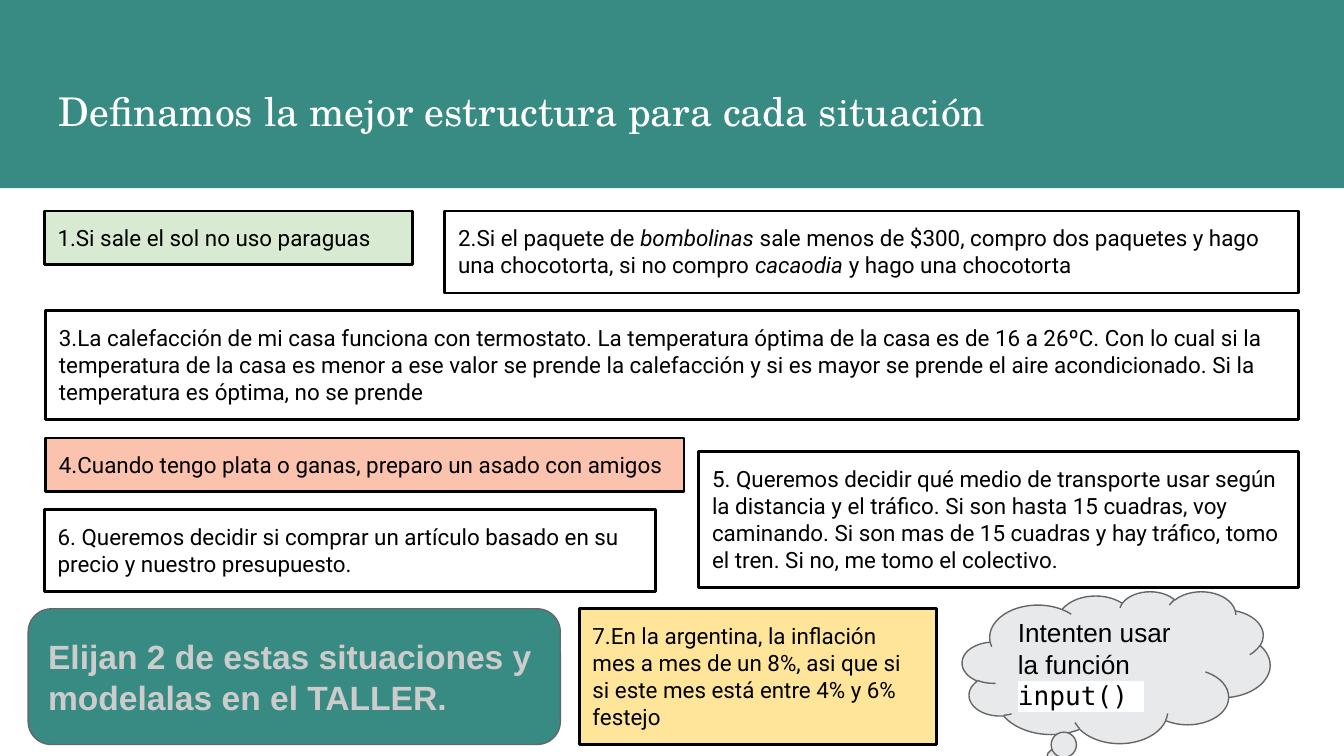
from lxml.etree import SubElement
from pptx import Presentation
from pptx.dml.color import RGBColor
from pptx.enum.shapes import MSO_SHAPE
from pptx.enum.text import MSO_ANCHOR, PP_ALIGN
from pptx.oxml.ns import qn
from pptx.util import Inches, Pt

TEAL = RGBColor(0x38, 0x8B, 0x82)
GREEN = RGBColor(0xD9, 0xEA, 0xD3)
SALMON = RGBColor(0xFB, 0xC2, 0xAE)
YELLOW = RGBColor(0xFF, 0xE5, 0x99)
CLOUD_GRAY = RGBColor(0xE7, 0xE9, 0xEB)
LIGHT_GRAY = RGBColor(0xCC, 0xCC, 0xCC)
OUTLINE_GRAY = RGBColor(0x66, 0x66, 0x66)
BLACK = RGBColor(0, 0, 0)
WHITE = RGBColor(0xFF, 0xFF, 0xFF)

SITUATIONS = [
    ((0.33, 1.57, 2.74, 0.4), GREEN, ["1.Si sale el sol no uso paraguas"]),
    ((3.31, 1.57, 6.35, 0.61), None, [
        "2.Si el paquete de ",
        ("bombolinas", {"italic": True}),
        " sale menos de $300, compro dos paquetes y hago una chocotorta, si no compro ",
        ("cacaodia", {"italic": True}),
        " y hago una chocotorta",
    ]),
    ((0.34, 2.31, 9.32, 0.81), None, [
        "3.La calefacción de mi casa funciona con termostato. La temperatura óptima "
        "de la casa es de 16 a 26ºC. Con lo cual si la temperatura de la casa es menor "
        "a ese valor se prende la calefacción y si es mayor se prende el aire "
        "acondicionado. Si la temperatura es óptima, no se prende"
    ]),
    ((0.34, 3.26, 4.75, 0.4), SALMON, [
        "4.Cuando tengo plata o ganas, preparo un asado con amigos"
    ]),
    ((5.2, 3.36, 4.46, 1.01), None, [
        "5. Queremos decidir qué medio de transporte usar según la distancia y el "
        "tráfico. Si son hasta 15 cuadras, voy caminando. Si son mas de 15 cuadras y "
        "hay tráfico, tomo el tren. Si no, me tomo el colectivo."
    ]),
    ((0.33, 3.79, 4.55, 0.61), None, [
        "6. Queremos decidir si comprar un artículo basado en su precio y nuestro "
        "presupuesto."
    ]),
    ((4.31, 4.53, 2.66, 1.01), YELLOW, [
        "7.En la argentina, la inflación mes a mes de un 8%, asi que si si este mes "
        "está entre 4% y 6% festejo"
    ]),
]


def highlight(run, color):
    properties = run._r.get_or_add_rPr()
    marker = SubElement(properties, qn("a:highlight"))
    SubElement(marker, qn("a:srgbClr")).set("val", str(color))
    properties.find(qn("a:latin")).addprevious(marker)


def add_run(paragraph, text, font="Roboto", size=12, color=BLACK,
            bold=False, italic=False, marker=None):
    run = paragraph.add_run()
    run.text = text
    run.font.name = font
    run.font.size = Pt(size)
    run.font.bold = bold
    run.font.italic = italic
    run.font.color.rgb = color
    if marker is not None:
        highlight(run, marker)


def write(shape, pieces, anchor=MSO_ANCHOR.TOP, **style):
    frame = shape.text_frame
    frame.word_wrap = True
    frame.vertical_anchor = anchor
    frame.margin_left = frame.margin_right = Inches(0.1)
    frame.margin_top = frame.margin_bottom = Inches(0.1)
    paragraph = frame.paragraphs[0]
    paragraph.alignment = PP_ALIGN.LEFT
    for piece in pieces:
        text, changes = (piece, {}) if isinstance(piece, str) else piece
        add_run(paragraph, text, **{**style, **changes})


def add_panel(slide, box, fill, kind=MSO_SHAPE.RECTANGLE, outline=None,
              width=0.75, adjustments=()):
    panel = slide.shapes.add_shape(kind, *map(Inches, box))
    panel.shadow.inherit = False
    for index, value in enumerate(adjustments):
        panel.adjustments[index] = value
    if fill is None:
        panel.fill.background()
    else:
        panel.fill.solid()
        panel.fill.fore_color.rgb = fill
    if outline is None:
        panel.line.fill.background()
    else:
        panel.line.color.rgb = outline
        panel.line.width = Pt(width)
    return panel


def add_header(slide):
    add_panel(slide, (0, 0, 10, 1.4), TEAL)
    title = slide.shapes.add_textbox(*map(Inches, (0.34, 0.55, 9.32, 0.68)))
    write(title, ["Definamos la mejor estructura para cada situación"],
          font="TeX Gyre Schola", size=21.2, color=WHITE)


def add_situation(slide, box, fill, pieces):
    write(add_panel(slide, box, fill, outline=BLACK, width=1.5), pieces)


def add_assignment(slide):
    assignment = add_panel(slide, (0.21, 4.53, 3.96, 1.01), TEAL,
                           kind=MSO_SHAPE.ROUNDED_RECTANGLE,
                           outline=OUTLINE_GRAY, adjustments=[0.17])
    write(assignment, ["Elijan 2 de estas situaciones y modelalas en el TALLER."],
          anchor=MSO_ANCHOR.MIDDLE, font="Arial", size=18, color=LIGHT_GRAY, bold=True)


def add_hint(slide):
    hint = add_panel(slide, (7.16, 4.4, 2.29, 1.13), CLOUD_GRAY,
                     kind=MSO_SHAPE.CLOUD_CALLOUT,
                     outline=OUTLINE_GRAY, adjustments=[-0.21, 0.63])
    code = ("input() ", {"font": "DejaVu Sans Mono", "marker": WHITE})
    write(hint, ["Intenten usar la función ", code, " "],
          anchor=MSO_ANCHOR.MIDDLE, font="Arial", size=14)


def main():
    presentation = Presentation()
    presentation.slide_width = Inches(10)
    presentation.slide_height = Inches(10) * 9 // 16
    slide = presentation.slides.add_slide(presentation.slide_layouts[6])
    add_header(slide)
    for box, fill, pieces in SITUATIONS:
        add_situation(slide, box, fill, pieces)
    add_assignment(slide)
    add_hint(slide)
    presentation.save("out.pptx")


if __name__ == "__main__":
    main()
